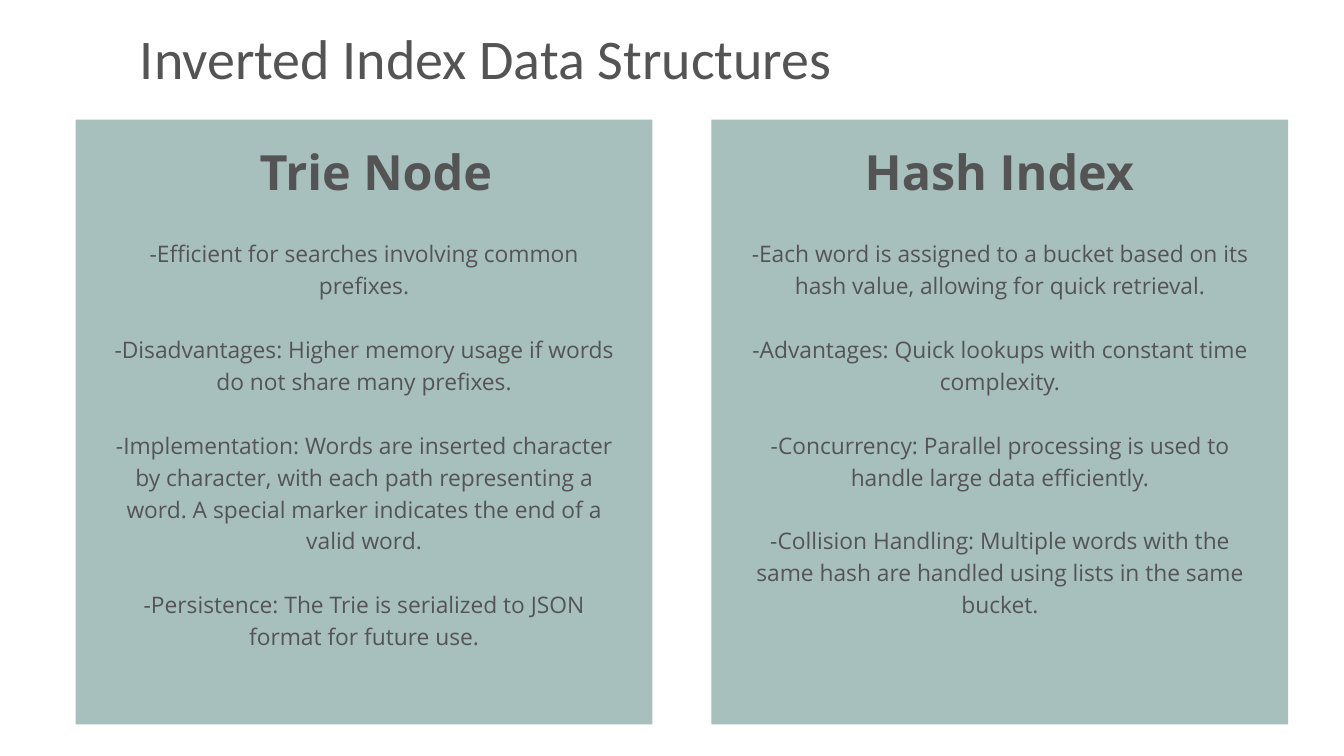
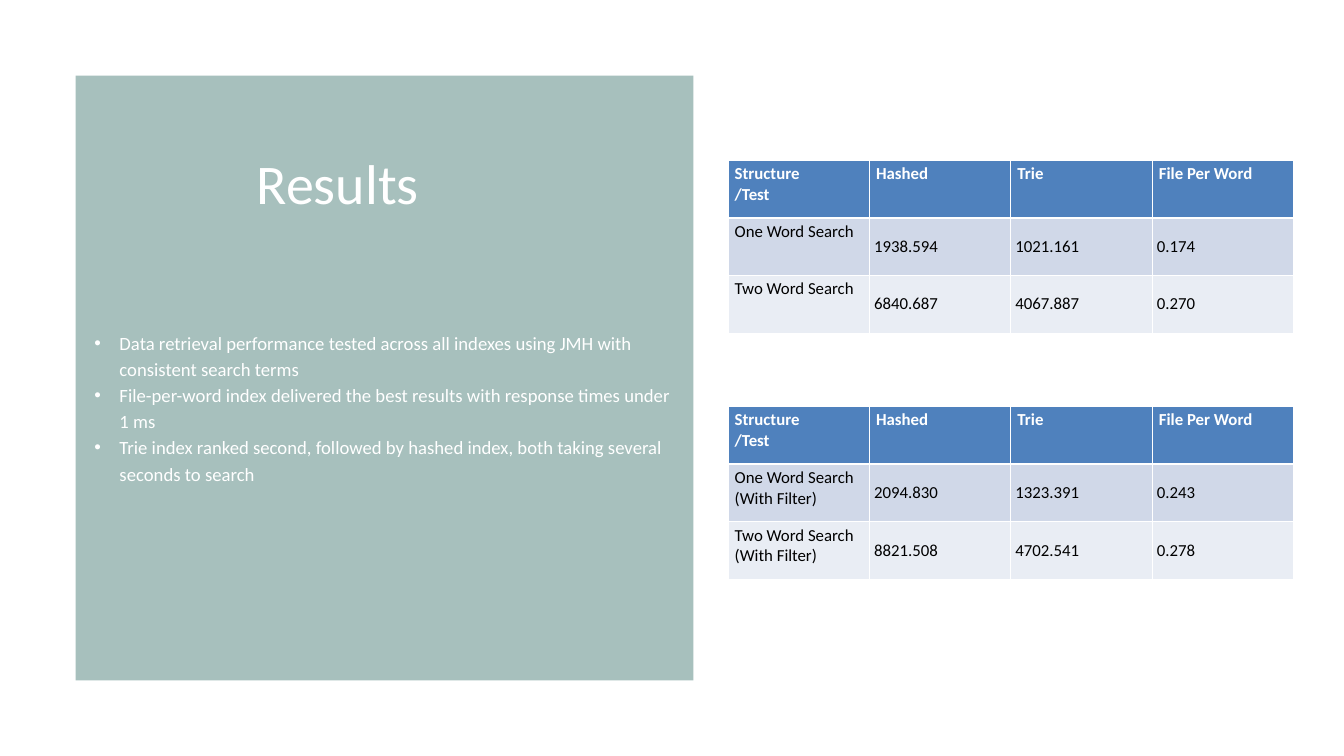
"""Builds two slides on inverted index data structures and their search results."""
import pptx
import pptx.dml.color
import pptx.enum.shapes
import pptx.enum.text
import pptx.oxml
import pptx.oxml.ns
import pptx.util

Pt = pptx.util.Pt
RGB = pptx.dml.color.RGBColor.from_string
ALIGN = pptx.enum.text.PP_ALIGN
ANCHOR = pptx.enum.text.MSO_ANCHOR

COLORS = {
    "panel": "A7C0BD", "ink": "545454", "white": "FFFFFF", "black": "000000",
    "header": "4F81BD", "band_dark": "D0D8E8", "band_light": "E9EDF4",
}
FORMATS = {
    "title": {"name": "Calibri", "size": Pt(60), "bold": False},
    "heading": {"name": "Open Sans", "size": Pt(52), "bold": True},
    "body": {"name": "Open Sans", "size": Pt(24.4), "bold": False},
    "bullet": {"name": "Calibri", "size": Pt(20), "bold": False},
    "table_head": {"name": "Calibri", "size": Pt(18), "bold": True},
    "table_cell": {"name": "Calibri", "size": Pt(18), "bold": False},
}
LINE_SPACING = {"title": 59.4, "heading": 72.8, "body": 34.2, "bullet": 28}
PARAGRAPH_GAP = {"body": 34.2}
MARGIN_LEFT = 81
PANEL_HEIGHT = 648


def write(frame, lines, style, color, align=ALIGN.LEFT):
    """Fill a text frame with one paragraph per line."""
    frame.word_wrap = True
    for number, line in enumerate(lines):
        paragraph = frame.add_paragraph() if number else frame.paragraphs[0]
        paragraph.text = line
        paragraph.alignment = align
        if style in LINE_SPACING:
            paragraph.line_spacing = Pt(LINE_SPACING[style])
        if number and style in PARAGRAPH_GAP:
            paragraph.space_before = Pt(PARAGRAPH_GAP[style])
        if style == "bullet":
            properties = paragraph._p.get_or_add_pPr()
            properties.set("marL", str(Pt(27)))
            properties.set("indent", str(-Pt(27)))
            for tag in ('buFont typeface="Arial"', 'buChar char="•"'):
                properties.append(pptx.oxml.parse_xml(
                    f'<a:{tag} {pptx.oxml.ns.nsdecls("a")}/>'))
        font = paragraph.runs[0].font
        for name, value in FORMATS[style].items():
            setattr(font, name, value)
        font.color.rgb = RGB(COLORS[color])


def add_block(slide, box, lines=(), style=None, color=None, align=ALIGN.LEFT):
    """Add a text block, or a plain panel when there are no lines."""
    place = [Pt(length) for length in box]
    if not lines:
        panel = slide.shapes.add_shape(pptx.enum.shapes.MSO_SHAPE.RECTANGLE, *place)
        panel.shadow.inherit = False
        panel.fill.solid()
        panel.fill.fore_color.rgb = RGB(COLORS["panel"])
        panel.line.fill.background()
        return
    frame = slide.shapes.add_textbox(*place).text_frame
    for side in ("left", "top", "right", "bottom"):
        setattr(frame, f"margin_{side}", 0)
    write(frame, lines, style, color, align)


deck = pptx.Presentation()
deck.slide_width, deck.slide_height = Pt(1440), Pt(810)
blank = deck.slide_layouts[6]

structures = deck.slides.add_slide(blank)
add_block(structures, (150, 38, 1141, 68), ["Inverted Index Data Structures"], "title", "ink")
index_types = [
    ("Trie Node", MARGIN_LEFT, 150, 505.5, [
        "-Efficient for searches involving common prefixes.",
        "-Disadvantages: Higher memory usage if words do not share many prefixes.",
        "-Implementation: Words are inserted character by character, with each path "
        "representing a word. A special marker indicates the end of a valid word.",
        "-Persistence: The Trie is serialized to JSON format for future use.",
    ]),
    ("Hash Index", 762.3, 926, 289.5, [
        "-Each word is assigned to a bucket based on its hash value, allowing for quick retrieval.",
        "-Advantages: Quick lookups with constant time complexity.",
        "-Concurrency: Parallel processing is used to handle large data efficiently.",
        "-Collision Handling: Multiple words with the same hash are handled using lists "
        "in the same bucket.",
    ]),
]
for heading, panel_left, heading_left, heading_width, points in index_types:
    add_block(structures, (panel_left, 128.2, 618, PANEL_HEIGHT))
    add_block(structures, (heading_left, 142, heading_width, 70), [heading],
              "heading", "ink", ALIGN.CENTER)
    add_block(structures, (panel_left + 33.3, 252, 551.5, 446), points,
              "body", "ink", ALIGN.CENTER)

results = deck.slides.add_slide(blank)
add_block(results, (MARGIN_LEFT, 81, 662, PANEL_HEIGHT))
add_block(results, (275, 172, 273, 68), ["Results"], "title", "white")
add_block(results, (101, 351.4, 619, 168), [
    "Data retrieval performance tested across all indexes using JMH with consistent search terms",
    "File-per-word index delivered the best results with response times under 1 ms",
    "Trie index ranked second, followed by hashed index, both taking several seconds to search",
], "bullet", "white")

columns = ["Structure\n/Test", "Hashed", "Trie", "File Per Word"]
timings = [
    (171.7, [["One Word Search", "1938.594", "1021.161", "0.174"],
             ["Two Word Search", "6840.687", "4067.887", "0.270"]]),
    (435.6, [["One Word Search (With Filter)", "2094.830", "1323.391", "0.243"],
             ["Two Word Search (With Filter)", "8821.508", "4702.541", "0.278"]]),
]
row_fills = ["header", "band_dark", "band_light"]
value_cell = {"vertical_anchor": ANCHOR.MIDDLE, "margin_left": Pt(5), "margin_right": Pt(5),
              "margin_top": Pt(2.5), "margin_bottom": Pt(2.5)}
for top, searches in timings:
    rows = [columns] + searches
    table = results.shapes.add_table(len(rows), len(columns), Pt(780), Pt(top),
                                     Pt(606), Pt(185.1)).table
    for row_number, row in enumerate(rows):
        table.rows[row_number].height = Pt(61.7)
        for column_number, text in enumerate(row):
            cell = table.cell(row_number, column_number)
            is_head = row_number == 0
            write(cell.text_frame, text.split("\n"),
                  "table_head" if is_head else "table_cell", "white" if is_head else "black")
            if not is_head and column_number:
                for name, value in value_cell.items():
                    setattr(cell, name, value)
            cell.fill.solid()
            cell.fill.fore_color.rgb = RGB(COLORS[row_fills[row_number]])
            for position, side in enumerate("LRTB"):
                under_head = (row_number, side) in ((0, "B"), (1, "T"))
                cell._tc.get_or_add_tcPr().insert(position, pptx.oxml.parse_xml(
                    f'<a:ln{side} {pptx.oxml.ns.nsdecls("a")} w="{Pt(3 if under_head else 1)}">'
                    f'<a:solidFill><a:srgbClr val="{COLORS["white"]}"/></a:solidFill></a:ln{side}>'))

deck.save("out.pptx")
